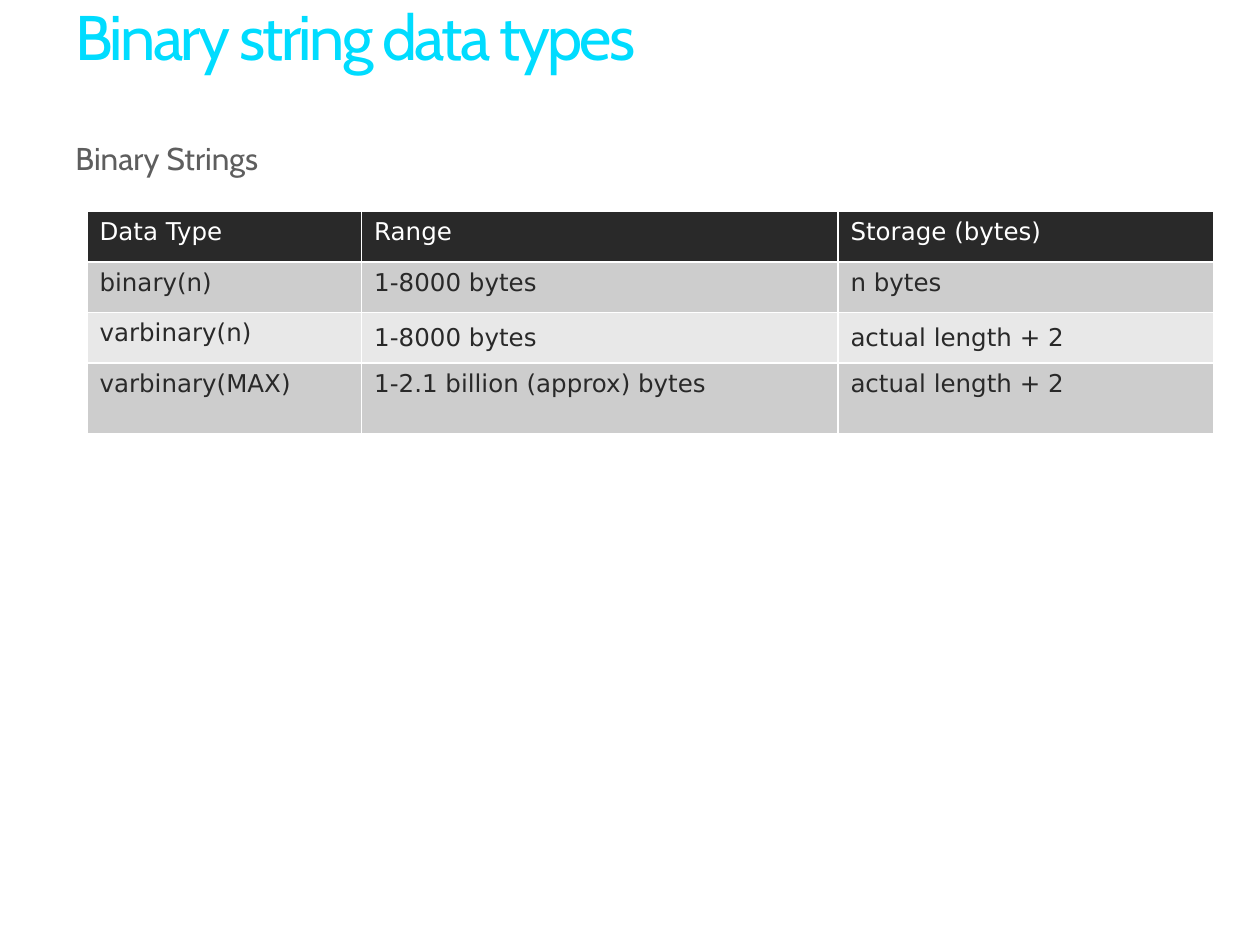
from lxml import etree
from pptx import Presentation
from pptx.dml.color import RGBColor
from pptx.enum import text
from pptx.oxml.ns import qn
from pptx.util import Inches, Pt

COLORS = {"title": "00DCFF", "body": "5E5E5E", "white": "FFFFFF",
          "dark": "292929", "odd": "CDCDCD", "even": "E8E8E8"}
HEADINGS = [
    ("Binary string data types", (0.5, 0, 8.5, 0.81), 36, "title", -150),
    ("Binary Strings", (0.5, 1.09, 8.48, 4.8), 18, "body", 0),
]
ROWS = [
    ("Data Type", "Range", "Storage (bytes)"),
    ("binary(n)", "1-8000 bytes", "n bytes"),
    ("varbinary(n)", "1-8000 bytes", "actual length + 2"),
    ("varbinary(MAX)", "1-2.1 billion (approx) bytes", "actual length + 2"),
]
TABLE_AT = (0.69, 1.68)
COL_WIDTHS = (2.18, 3.78, 2.98)
ROW_HEIGHTS = (0.4, 0.4, 0.4, 0.56)
MIDDLE_CELLS = {(2, 1), (2, 2)}


def rgb(name):
    return RGBColor.from_string(COLORS[name])


def write(tf, words, size, font, color):
    p = tf.paragraphs[0]
    r = p.add_run()
    r.text = words
    for key, value in {"size": Pt(size), "name": font, "bold": False}.items():
        setattr(r.font, key, value)
    r.font.color.rgb = rgb(color)
    return p, r


def add_borders(cell):
    tc_pr = cell._tc.get_or_add_tcPr()
    for i, side in enumerate(("lnL", "lnR", "lnT", "lnB")):
        ln = etree.Element(qn(f"a:{side}"), w=str(Pt(1)))
        fill = etree.SubElement(ln, qn("a:solidFill"))
        etree.SubElement(fill, qn("a:srgbClr"), val=COLORS["white"])
        tc_pr.insert(i, ln)


prs = Presentation()
prs.slide_width, prs.slide_height = Inches(10), Inches(7.5)
s = prs.slides.add_slide(prs.slide_layouts[6])

for words, box, size, color, spacing in HEADINGS:
    tf = s.shapes.add_textbox(*map(Inches, box)).text_frame
    tf.word_wrap = True
    p, r = write(tf, words, size, "Cabin", color)
    p.line_spacing = 0.9
    r.font._element.set("spc", str(spacing))

size = (sum(COL_WIDTHS), sum(ROW_HEIGHTS))
table = s.shapes.add_table(len(ROWS), len(COL_WIDTHS),
                           *map(Inches, TABLE_AT + size)).table
for col, width in zip(table.columns, COL_WIDTHS):
    col.width = Inches(width)
for i, (row, height) in enumerate(zip(ROWS, ROW_HEIGHTS)):
    table.rows[i].height = Inches(height)
    fill = "dark" if i == 0 else "odd" if i % 2 else "even"
    for j, words in enumerate(row):
        cell = table.cell(i, j)
        cell.fill.solid()
        cell.fill.fore_color.rgb = rgb(fill)
        if (i, j) in MIDDLE_CELLS:
            cell.vertical_anchor = text.MSO_ANCHOR.MIDDLE
        write(cell.text_frame, words, 14, "DejaVu Sans", "dark" if i else "white")
        add_borders(cell)

prs.save("out.pptx")
